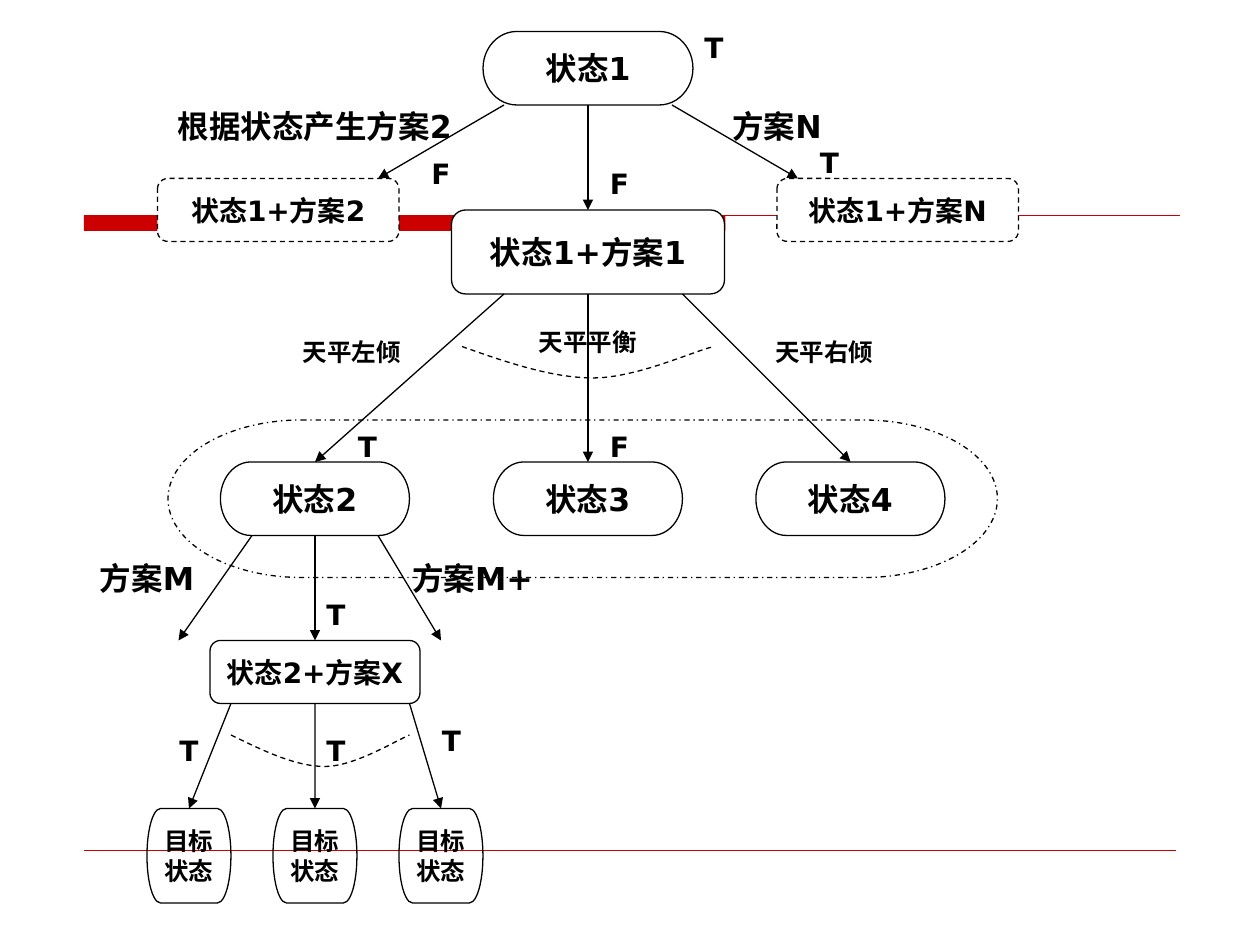
from lxml import etree
from pptx import Presentation
from pptx.dml.color import RGBColor
from pptx.enum.dml import MSO_LINE
from pptx.enum.shapes import MSO_CONNECTOR, MSO_SHAPE
from pptx.enum.text import MSO_ANCHOR, PP_ALIGN
from pptx.oxml.ns import qn
from pptx.util import Inches, Pt

BLACK = RGBColor(0, 0, 0)
WHITE = RGBColor(255, 255, 255)
RED = RGBColor(0xCC, 0, 0)
FONT = "DejaVu Sans"
PILL = MSO_SHAPE.FLOWCHART_TERMINATOR
ROUND = MSO_SHAPE.FLOWCHART_ALTERNATE_PROCESS
PLAIN = MSO_SHAPE.FLOWCHART_PROCESS
DASH = MSO_LINE.DASH
TOP, BOTTOM = 0, 2

# All places are (left, top, width, height) or (x, y) in twelfths of an inch.
STATES = {
    "s1": ("状态1", (46, 3, 20, 7)),
    "s2": ("状态2", (21, 44, 18, 7)),
    "s3": ("状态3", (47, 44, 18, 7)),
    "s4": ("状态4", (72, 44, 18, 7)),
}
PLANS = {
    "p1": ("状态1+方案1", (43, 20, 26, 8), 18, None),
    "px": ("状态2+方案X", (20, 61, 20, 6), 16, None),
    "pn": ("状态1+方案N", (74, 17, 23, 6), 16, DASH),
    "p2": ("状态1+方案2", (15, 17, 23, 6), 16, DASH),
}
GOALS = {"g1": 14, "g2": 26, "g3": 38}
# An end is a node's name (middle of its side) or a point.
ARROWS = [
    ("s1", "p1"), ((48, 10), (36, 17)), ((64, 10), (76, 17)),
    ("p1", "s3"), ((48, 28), "s2"), ((65, 28), "s4"),
    ("s2", "px"), ((24, 51), (17, 61)), ((36, 51), (42, 61)),
    ("px", "g2"), ((22, 67), "g1"), ((39, 67), "g3"),
]
ARCS = [
    [(44, 33), (48.2, 34.5), (52.6, 36), (56.5, 36),
     (60.6, 36), (65.9, 33.5), (68, 33)],
    [(22, 70), (25.1, 71.5), (28.1, 73), (31, 73),
     (33.7, 73), (37.6, 70.6), (39, 70)],
]
LABELS = [
    ("根据状态产生方案2", (15, 10, 30, 4), 18),
    ("方案N", (67, 10, 14, 4), 18),
    ("方案M", (7, 53, 14, 4), 18),
    ("方案M+", (38, 53, 14, 4), 18),
    ("天平左倾", (28, 31, 11, 5), 14),
    ("天平平衡", (50, 30, 12, 5), 14),
    ("天平右倾", (73, 31, 11, 5), 14),
]
MARKS = {
    "T": [(65, 2), (76, 13), (32, 40), (29, 56), (15, 69), (29, 69), (40, 68)],
    "F": [(39, 14), (56, 15), (56, 40)],
}

deck = Presentation()
deck.slide_width, deck.slide_height = Inches(10), Inches(7.5)
shapes = deck.slides.add_slide(deck.slide_layouts[6]).shapes


def grid(nums):
    return [Inches(n / 12) for n in nums]


def stroke(line, color=BLACK, width=0.75, dash=None):
    line.color.rgb = color
    line.width = Pt(width)
    if dash:
        line.dash_style = dash


def write(shape, text, size=18):
    frame = shape.text_frame
    frame.text = text
    frame.word_wrap = False
    frame.vertical_anchor = MSO_ANCHOR.MIDDLE
    for para in frame.paragraphs:
        para.alignment = PP_ALIGN.CENTER
        font = para.runs[0].font
        font.name, font.size, font.bold = FONT, Pt(size), True
        font.color.rgb = BLACK


def box(kind, place, fill=None, line=BLACK, dash=None):
    shape = shapes.add_shape(kind, *grid(place))
    shape.shadow.inherit = False
    if fill is None:
        shape.fill.background()
    else:
        shape.fill.solid()
        shape.fill.fore_color.rgb = fill
    if line is None:
        shape.line.fill.background()
    else:
        stroke(shape.line, line, dash=dash)
    return shape


def rule(start, end, color=BLACK, width=0.75):
    line = shapes.add_connector(MSO_CONNECTOR.STRAIGHT, *grid(start + end))
    stroke(line.line, color, width)
    etree.SubElement(line._element.spPr, qn("a:effectLst"))
    return line


def arrow(start, end):
    """Join two nodes or points, with a head at the end."""
    line = rule((0, 0) if start in nodes else start,
                (0, 0) if end in nodes else end)
    if start in nodes:
        line.begin_connect(nodes[start], BOTTOM)
    if end in nodes:
        line.end_connect(nodes[end], TOP)
    etree.SubElement(line.line._get_or_add_ln(), qn("a:tailEnd"), type="triangle")


def bend(a, b, c, d, steps=12):
    """Points along a cubic curve, without its first."""
    for i in range(1, steps + 1):
        t = i / steps
        u = 1 - t
        yield tuple(u**3 * p + 3 * u * u * t * q + 3 * u * t * t * r + t**3 * s
                    for p, q, r, s in zip(a, b, c, d))


def arc(pts):
    path = [*bend(*pts[:4]), *bend(*pts[3:])]
    pen = shapes.build_freeform(*grid(pts[0]))
    pen.add_line_segments([grid(p) for p in path], close=False)
    shape = pen.convert_to_shape()
    shape.shadow.inherit = False
    shape.fill.background()
    stroke(shape.line, dash=DASH)


box(MSO_SHAPE.RECTANGLE, (8, 20.5, 61.1, 1.5), fill=RED, line=None)
rule((8, 20.5), (112.4, 20.5), RED)
rule((8, 81), (112, 81), RED, 0.25)
box(PILL, (16, 40, 79, 15), dash=MSO_LINE.DASH_DOT)

nodes = {}
for name, (text, place) in STATES.items():
    nodes[name] = box(PILL, place)
    write(nodes[name], text)
for name, (text, place, size, dash) in PLANS.items():
    nodes[name] = box(ROUND, place, fill=WHITE, dash=dash)
    write(nodes[name], text, size=size)
for name, left in GOALS.items():
    nodes[name] = box(PILL, (left, 77, 8, 9))
    write(nodes[name], "目标\n状态", size=14)

for start, end in ARROWS:
    arrow(start, end)
for pts in ARCS:
    arc(pts)
for text, place, size in LABELS:
    write(box(PLAIN, place, line=None), text, size=size)
for text, spots in MARKS.items():
    for spot in spots:
        write(shapes.add_textbox(*grid(spot + (6, 5))), text, size=16)

deck.save("out.pptx")
